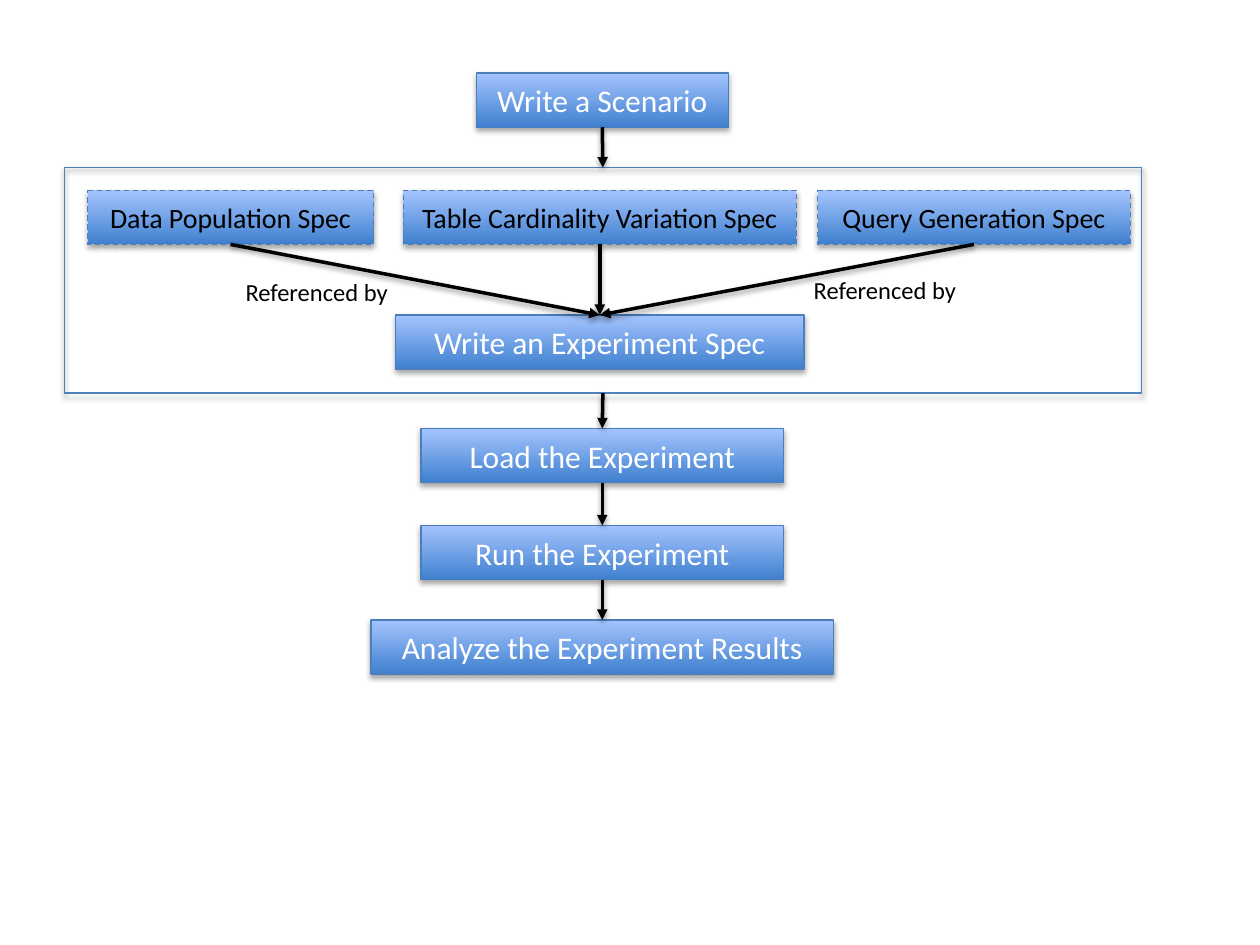
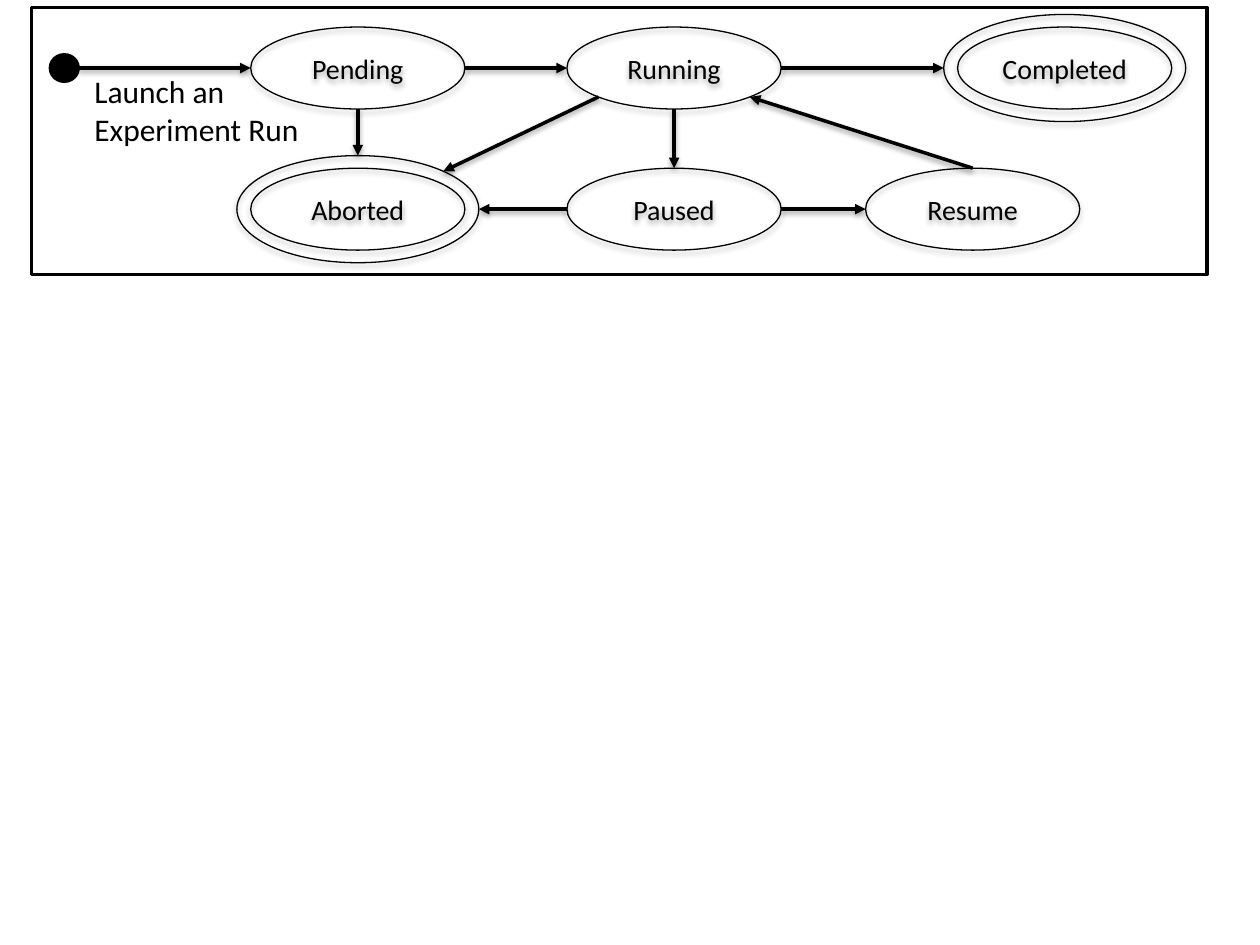
from dataclasses import dataclass
from math import cos, radians, sin

from lxml.etree import SubElement
from pptx import Presentation
from pptx.dml.color import RGBColor
from pptx.enum.dml import MSO_LINE
from pptx.enum.shapes import MSO_CONNECTOR, MSO_SHAPE
from pptx.enum.text import MSO_ANCHOR, MSO_AUTO_SIZE, PP_ALIGN
from pptx.oxml.ns import qn
from pptx.util import Inches, Pt


@dataclass(frozen=True)
class Theme:
    font: str = "Calibri"
    black: RGBColor = RGBColor(0, 0, 0)
    white: RGBColor = RGBColor(255, 255, 255)
    box_line: RGBColor = RGBColor.from_string("4B7EBC")
    frame_line: RGBColor = RGBColor.from_string("4F81BD")
    gradient: tuple = (RGBColor.from_string("3F80CE"), RGBColor.from_string("A4C4FF"))
    step_size: int = 18
    spec_size: int = 16
    note_size: int = 14
    thin: float = 0.75
    thick: float = 2
    box_shadow: tuple = (35, 3.15, 1.81)
    arrow_shadow: tuple = (38, 3.15, 1.57)


THEME = Theme()
TOP, BOTTOM = 0, 2

FLOW_CENTRE, SPEC_CENTRE, BOX_HEIGHT = 4.78, 4.76, 0.43
SCENARIO, EXPERIMENT_SPEC = "Write a Scenario", "Write an Experiment Spec"
LOAD, RUN, ANALYZE = "Load the Experiment", "Run the Experiment", "Analyze the Experiment Results"
SPEC_GROUP = "spec group"
SPEC_FRAME = (0.51, 1.33, 8.55, 1.79)
STEPS = [
    (SCENARIO, FLOW_CENTRE, 0.58, 2),
    (EXPERIMENT_SPEC, SPEC_CENTRE, 2.5, 3.24),
    (LOAD, FLOW_CENTRE, 3.4, 2.88),
    (RUN, FLOW_CENTRE, 4.17, 2.88),
    (ANALYZE, FLOW_CENTRE, 4.92, 3.67),
]
SPEC_TOP = 1.51
SPECS = [
    ("Data Population Spec", 1.83, 2.27),
    ("Table Cardinality Variation Spec", SPEC_CENTRE, 3.12),
    ("Query Generation Spec", 7.73, 2.48),
]
FLOW = [SCENARIO, SPEC_GROUP, LOAD, RUN, ANALYZE]
REFERENCE_NOTES = [("Referenced by", 1.85, 2.15), ("Referenced by", 6.36, 2.13)]

STATE_WIDTH, STATE_HEIGHT = 1.7, 0.65
RING_GAP = (0.11, 0.1)
UPPER_ROW, LOWER_ROW = 0.54, 1.66
STATES = {
    "Pending": (2.84, UPPER_ROW),
    "Running": (5.35, UPPER_ROW),
    "Completed": (8.45, UPPER_ROW),
    "Aborted": (2.84, LOWER_ROW),
    "Paused": (5.35, LOWER_ROW),
    "Resume": (7.72, LOWER_ROW),
}
FINAL_STATES = ["Completed", "Aborted"]
START, START_SPOT = "start", (0.51, UPPER_ROW, 0.22, 0.21)
COMPASS = {"E": 0, "SE": 45, "S": 90, "SW": 135, "W": 180, "N": 270, "NE": 315}
TRANSITIONS = [
    (START, "E", "Pending", "W"),
    ("Pending", "E", "Running", "W"),
    ("Running", "E", "Completed", "W"),
    ("Pending", "S", "Aborted", "N"),
    ("Running", "SW", "Aborted", "NE"),
    ("Running", "S", "Paused", "N"),
    ("Paused", "W", "Aborted", "E"),
    ("Paused", "E", "Resume", "W"),
    ("Resume", "N", "Running", "SE"),
]
LAUNCH_NOTE = ["Launch an", "Experiment Run"]
STATE_FRAME = (0.25, 0.06, 9.33, 2.12)


def set_format(target, values):
    for name, value in values.items():
        setattr(target, name, value)


def set_shadow(item, shadow):
    effects = SubElement(item._element.spPr, qn("a:effectLst"))
    if shadow:
        alpha, blur, distance = shadow
        outer = SubElement(effects, qn("a:outerShdw"), blurRad=str(Pt(blur)),
                           dist=str(Pt(distance)), dir="5400000", rotWithShape="0")
        colour = SubElement(outer, qn("a:srgbClr"), val=str(THEME.black))
        SubElement(colour, qn("a:alpha"), val=str(alpha * 1000))


def write(frame, lines, size, colour, align):
    for number, line in enumerate(lines):
        paragraph = frame.add_paragraph() if number else frame.paragraphs[0]
        paragraph.text = line
        paragraph.alignment = align
        set_format(paragraph.font, {"name": THEME.font, "size": Pt(size)})
        paragraph.font.color.rgb = colour


def add_outline(slide, kind, area, colour, weight, shadow=None, fill=None, dash=None):
    outline = slide.shapes.add_shape(kind, *map(Inches, area))
    if fill is None:
        outline.fill.background()
    elif isinstance(fill, RGBColor):
        outline.fill.solid()
        outline.fill.fore_color.rgb = fill
    else:
        outline.fill.gradient()
        outline.fill.gradient_angle = 90
        for stop, shade in zip(outline.fill.gradient_stops, fill):
            stop.color.rgb = shade
    outline.line.color.rgb = colour
    set_format(outline.line, {"width": Pt(weight), "dash_style": dash})
    set_shadow(outline, shadow)
    return outline


def label(outline, text, size, colour):
    set_format(outline.text_frame, {"word_wrap": True, "vertical_anchor": MSO_ANCHOR.MIDDLE})
    write(outline.text_frame, [text], size, colour, PP_ALIGN.CENTER)


def add_note(slide, lines, area, size, wrap):
    note = slide.shapes.add_textbox(*map(Inches, area)).text_frame
    set_format(note, {"word_wrap": wrap, "auto_size": MSO_AUTO_SIZE.SHAPE_TO_FIT_TEXT})
    write(note, lines, size, THEME.black, PP_ALIGN.LEFT)


def add_arrow(slide, start=(0, 0), end=(0, 0)):
    arrow = slide.shapes.add_connector(MSO_CONNECTOR.STRAIGHT, *map(Inches, (*start, *end)))
    arrow.line.color.rgb = THEME.black
    arrow.line.width = Pt(THEME.thick)
    SubElement(arrow.line._get_or_add_ln(), qn("a:tailEnd"), type="triangle")
    set_shadow(arrow, THEME.arrow_shadow)
    return arrow


def join_down(slide, upper, lower):
    arrow = add_arrow(slide)
    arrow.begin_connect(upper, BOTTOM)
    arrow.end_connect(lower, TOP)


def add_box(slide, text, centre, top, width, size, colour, dash=None):
    area = (centre - width / 2, top, width, BOX_HEIGHT)
    box = add_outline(slide, MSO_SHAPE.FLOWCHART_PROCESS, area, THEME.box_line, THEME.thin,
                      THEME.box_shadow, THEME.gradient, dash)
    label(box, text, size, colour)
    return box


def build_workflow(slide):
    boxes = {SPEC_GROUP: add_outline(slide, MSO_SHAPE.FLOWCHART_PROCESS, SPEC_FRAME,
                                     THEME.frame_line, THEME.thin, THEME.box_shadow)}
    for text, *place in STEPS:
        boxes[text] = add_box(slide, text, *place, THEME.step_size, THEME.white)
    for text, centre, width in SPECS:
        spec = add_box(slide, text, centre, SPEC_TOP, width, THEME.spec_size, THEME.black,
                       MSO_LINE.DASH)
        join_down(slide, spec, boxes[EXPERIMENT_SPEC])
    for upper, lower in zip(FLOW, FLOW[1:]):
        join_down(slide, boxes[upper], boxes[lower])
    for text, left, top in REFERENCE_NOTES:
        add_note(slide, [text], (left, top, 1.35, 0.34), THEME.note_size, False)


def add_ellipse(slide, x, y, width, height, **style):
    settings = {"colour": THEME.black, "weight": THEME.thin, "shadow": THEME.box_shadow, **style}
    return add_outline(slide, MSO_SHAPE.OVAL, (x - width / 2, y - height / 2, width, height),
                       **settings)


def edge_point(ellipse, direction):
    x, y, width, height = ellipse
    angle = radians(COMPASS[direction])
    return x + width / 2 * cos(angle), y + height / 2 * sin(angle)


def build_state_diagram(slide):
    add_outline(slide, MSO_SHAPE.RECTANGLE, STATE_FRAME, THEME.black, THEME.thick)
    add_ellipse(slide, *START_SPOT, fill=THEME.black, weight=THEME.thick, shadow=None)
    rims = {START: START_SPOT}
    for state, (x, y) in STATES.items():
        rims[state] = (x, y, STATE_WIDTH, STATE_HEIGHT)
        label(add_ellipse(slide, *rims[state]), state, THEME.spec_size, THEME.black)
        if state in FINAL_STATES:
            rims[state] = (x, y, STATE_WIDTH + 2 * RING_GAP[0], STATE_HEIGHT + 2 * RING_GAP[1])
            add_ellipse(slide, *rims[state])
    for source, leaving, target, entering in TRANSITIONS:
        add_arrow(slide, edge_point(rims[source], leaving), edge_point(rims[target], entering))
    add_note(slide, LAUNCH_NOTE, (0.65, 0.52, 1.95, 0.71), THEME.step_size, True)


def main():
    deck = Presentation()
    set_format(deck, {"slide_width": Inches(10), "slide_height": Inches(7.5)})
    blank = deck.slide_layouts[6]
    for build in (build_workflow, build_state_diagram):
        build(deck.slides.add_slide(blank))
    deck.save("out.pptx")


if __name__ == "__main__":
    main()
